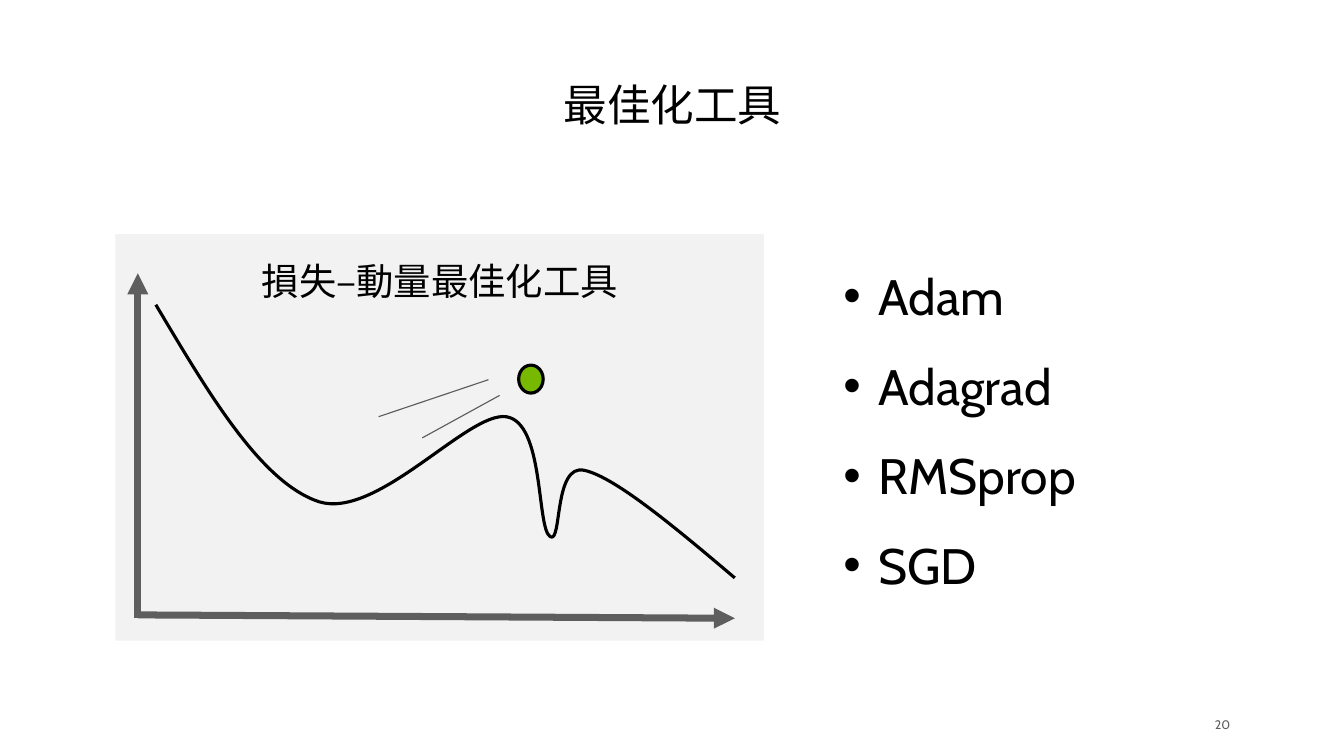
from lxml.etree import SubElement
from pptx import Presentation
from pptx.dml.color import RGBColor
from pptx.enum.shapes import MSO_CONNECTOR, MSO_SHAPE
from pptx.enum.text import MSO_ANCHOR, MSO_AUTO_SIZE, PP_ALIGN
from pptx.oxml.ns import qn
from pptx.util import Pt

COLORS = {"text": "000000", "panel": "F2F2F2", "axis": "5E5E5E", "ball": "76B900"}
FONT = "Cabin"
OPTIMIZERS = ["Adam", "Adagrad", "RMSprop", "SGD"]
LOSS_CURVE = [
    (26, 45.4),
    (59.8, 102.2), (93.6, 159.8), (131, 172.1),
    (168.5, 183.6), (226.8, 113.8), (251.3, 117.4),
    (275.8, 121), (270.7, 188.6), (279.4, 194.4),
    (287.3, 200.2), (281.5, 146.9), (301.7, 151.9),
    (321.1, 156.2), (360, 188.6), (398.2, 221),
]


def color(name):
    return RGBColor.from_string(COLORS[name])


def place(shape, box):
    shape.left, shape.top, shape.width, shape.height = map(Pt, box)


def add_bullet(para, indent):
    properties = para._p.get_or_add_pPr()
    properties.set("marL", str(Pt(indent)))
    properties.set("indent", str(-Pt(indent)))
    SubElement(properties, qn("a:buFont"), typeface="Arial")
    SubElement(properties, qn("a:buChar"), char="•")


def write(para, text, size, fill="text", align=None, line_spacing=None, indent=None):
    if indent:
        add_bullet(para, indent)
    para.alignment = align
    para.line_spacing = line_spacing
    para.space_before = Pt(0)
    span = para.add_run()
    span.text = text
    span.font.name = FONT
    span.font.size = Pt(size)
    span.font.color.rgb = color(fill)


def add_line(page, start, end, width, arrow=False):
    line = page.shapes.add_connector(MSO_CONNECTOR.STRAIGHT, *map(Pt, start + end))
    line.line.color.rgb = color("axis")
    line.line.width = Pt(width)
    if arrow:
        SubElement(line.line._get_or_add_ln(), qn("a:tailEnd"), type="triangle")
    SubElement(line._element.spPr, qn("a:effectLst"))


def add_curve(page, points):
    start, *rest = [(Pt(x), Pt(y)) for x, y in points]
    builder = page.shapes.build_freeform(*start, scale=1.0)
    builder.add_line_segments(rest, close=False)
    curve = builder.convert_to_shape()
    segments = list(curve._element.iter(qn("a:lnTo")))
    outline = segments[0].getparent()
    for first in range(0, len(segments), 3):
        bezier = SubElement(outline, qn("a:cubicBezTo"))
        for segment in segments[first:first + 3]:
            bezier.append(segment[0])
            outline.remove(segment)
    curve.shadow.inherit = False
    curve.fill.background()
    curve.line.color.rgb = color("text")
    curve.line.width = Pt(2)


def add_title(page, box):
    title = page.shapes.title
    place(title, box)
    title.text_frame.vertical_anchor = MSO_ANCHOR.BOTTOM
    write(title.text_frame.paragraphs[0], "最佳化工具", 28,
          align=PP_ALIGN.CENTER, line_spacing=0.9)


def add_loss_panel(page, box):
    left, top = box[:2]

    def at(x, y):
        return left + x, top + y

    panel = page.shapes.add_shape(MSO_SHAPE.RECTANGLE, *map(Pt, box))
    panel.shadow.inherit = False
    panel.fill.solid()
    panel.fill.fore_color.rgb = color("panel")
    panel.line.fill.background()
    frame = panel.text_frame
    frame.word_wrap = True
    frame.vertical_anchor = MSO_ANCHOR.TOP
    frame.margin_top = Pt(15.6)
    write(frame.paragraphs[0], "損失–動量最佳化工具", 24, align=PP_ALIGN.CENTER)

    add_curve(page, [at(x, y) for x, y in LOSS_CURVE])
    add_line(page, at(14.4, 247), at(14.4, 25.2), 4.5, arrow=True)
    add_line(page, at(14.4, 244.8), at(398.2, 247), 4.5, arrow=True)

    ball = page.shapes.add_shape(MSO_SHAPE.OVAL, *map(Pt, at(259.2, 84.2) + (15.8, 18)))
    ball.shadow.inherit = False
    ball.fill.solid()
    ball.fill.fore_color.rgb = color("ball")
    ball.line.color.rgb = color("text")
    ball.line.width = Pt(2)

    add_line(page, at(247, 103.7), at(197.3, 131), 0.75)
    add_line(page, at(239.8, 93.6), at(169.2, 117.4), 0.75)


def add_optimizer_list(page, box):
    body = page.placeholders[1]
    place(body, box)
    frame = body.text_frame
    frame.vertical_anchor = MSO_ANCHOR.MIDDLE
    frame.auto_size = MSO_AUTO_SIZE.SHAPE_TO_FIT_TEXT
    for index, name in enumerate(OPTIMIZERS):
        para = frame.add_paragraph() if index else frame.paragraphs[0]
        write(para, name, 32, line_spacing=1.5, indent=22.5)


def add_page_number(page, box):
    frame = page.shapes.add_textbox(*map(Pt, box)).text_frame
    frame.word_wrap = True
    frame.vertical_anchor = MSO_ANCHOR.MIDDLE
    frame.margin_left = frame.margin_top = frame.margin_right = frame.margin_bottom = 0
    write(frame.paragraphs[0], "20", 8, fill="axis", align=PP_ALIGN.RIGHT)


def main():
    deck = Presentation()
    deck.slide_width, deck.slide_height = Pt(864), Pt(486)
    page = deck.slides.add_slide(deck.slide_layouts[1])
    add_title(page, (39.6, 41, 785.5, 46.8))
    add_loss_panel(page, (74.2, 150.5, 416.9, 261.4))
    add_optimizer_list(page, (535, 150.5, 241.2, 232.6))
    add_page_number(page, (769, 459.4, 22, 13))
    deck.save("out.pptx")


if __name__ == "__main__":
    main()
